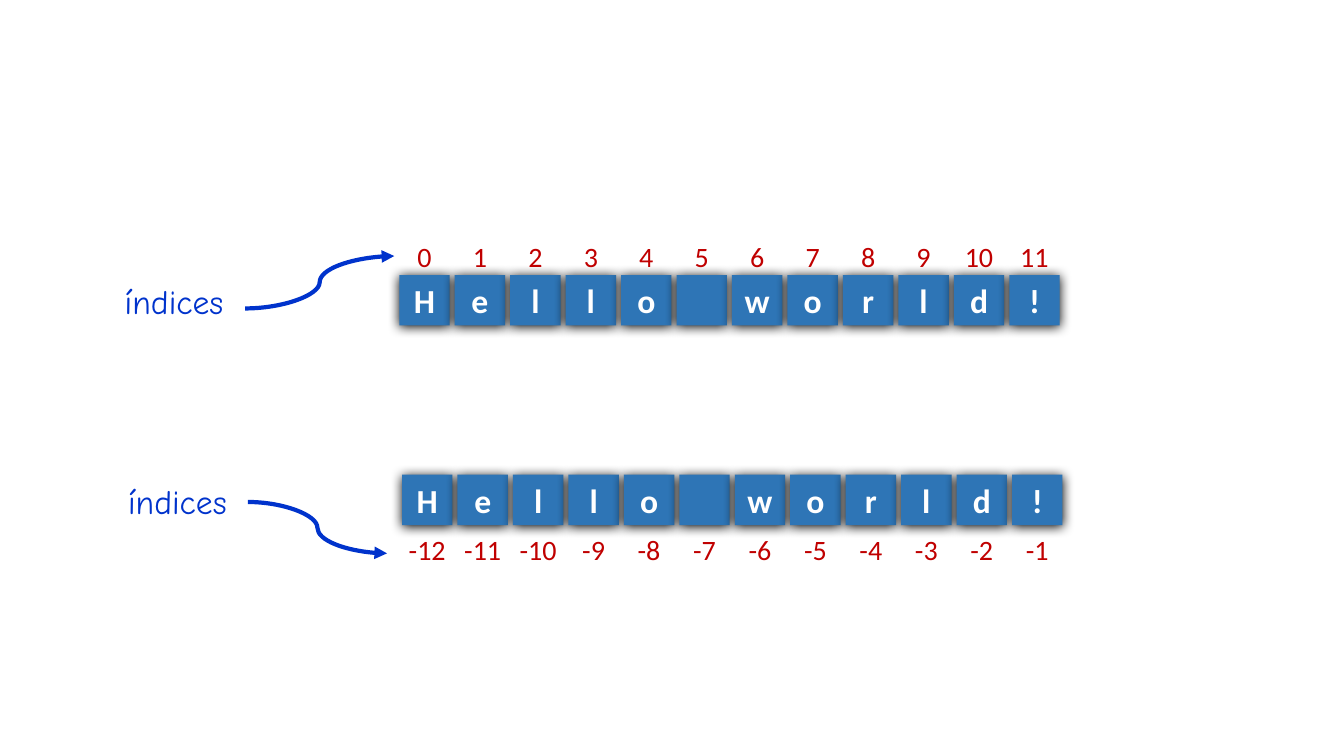
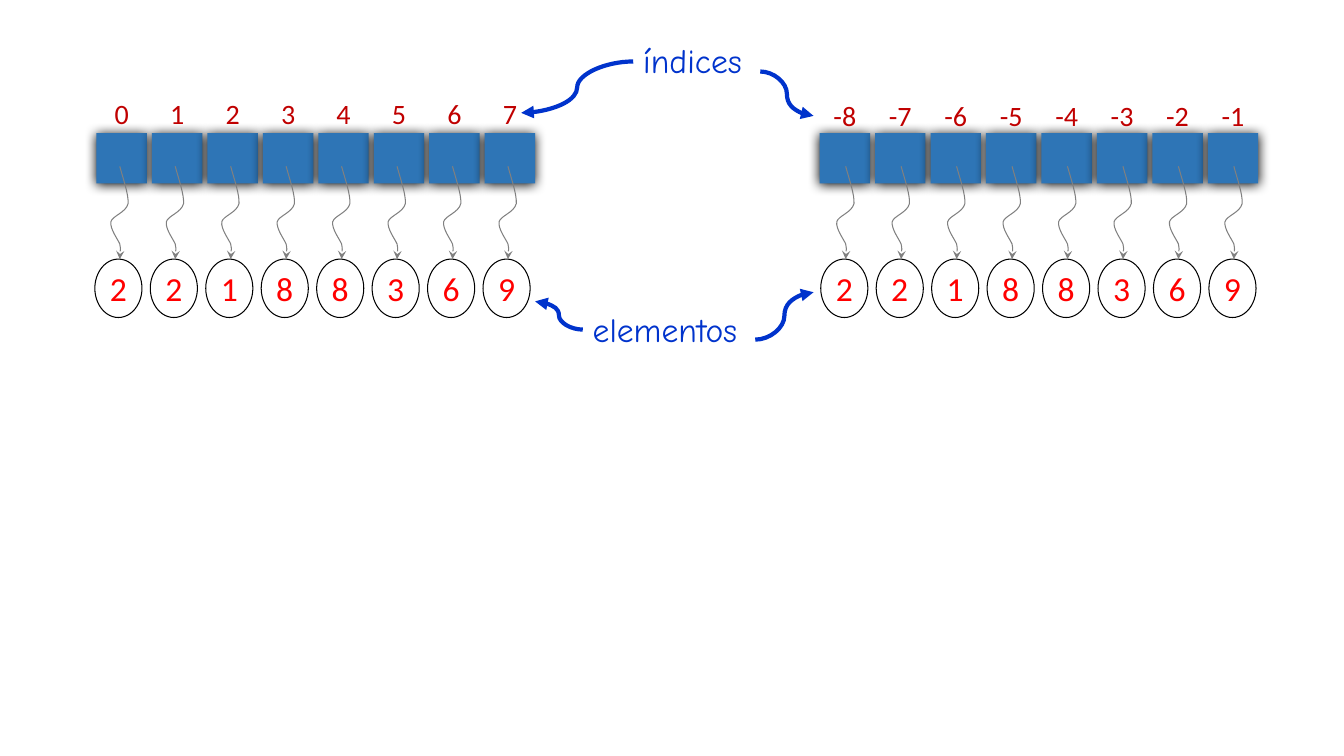
from lxml import etree
from pptx import Presentation
from pptx.dml.color import RGBColor
from pptx.enum.shapes import MSO_CONNECTOR, MSO_SHAPE
from pptx.enum.text import MSO_ANCHOR, PP_ALIGN
from pptx.oxml.ns import qn
from pptx.util import Inches, Pt

RECT, OVAL, CURVE = MSO_SHAPE.RECTANGLE, MSO_SHAPE.OVAL, MSO_CONNECTOR.CURVE
LEFT, MID = PP_ALIGN.LEFT, PP_ALIGN.CENTER
TOP, CENTER = MSO_ANCHOR.TOP, MSO_ANCHOR.MIDDLE

COL, ROW = 0.55, 0.5
CELL = 0.91
BLUE, WHITE, BLACK, GRAY = "2E75B6", "FFFFFF", "000000", "808080"
INK, MAROON, RED = "0033CC", "C00000", "FF0000"
BODY, HAND = "Calibri", "Comic Neue"
WAVE = [(0.07, 0.28), (0.16, 0.56), (0.15, 0.74),
        (0.11, 0.92), (-0.13, 0.98), (-0.16, 1.1),
        (-0.18, 1.24), (-0.04, 1.44), (0, 1.54),
        (0.02, 1.66), (0, 1.76), (0, 1.76), (0, 1.84)]


def color(code):
    """Return the colour of a hex string."""
    return RGBColor.from_string(code)


def at(x, y):
    """Return the lengths of grid columns and rows."""
    return Inches(x * COL), Inches(y * ROW)


def write(shape, text, size, ink, font=BODY, bold=False,
          align=MID, anchor=CENTER, pad=(0, 0)):
    """Set the one paragraph of a shape."""
    frame = shape.text_frame
    frame.word_wrap = True
    frame.vertical_anchor = anchor
    frame.margin_left = frame.margin_right = Inches(pad[0])
    frame.margin_top = frame.margin_bottom = Inches(pad[1])
    para = frame.paragraphs[0]
    para.text = text
    para.alignment = align
    para.font.size, para.font.name = Pt(size), font
    para.font.bold = bold
    para.font.color.rgb = color(ink)


def stroke(shape, ink, width, head=None):
    """Style the line of a shape, with an arrowhead if one is named."""
    shape.line.color.rgb = color(ink)
    shape.line.width = Pt(width)
    if head:
        line = shape.element.spPr.find(qn("a:ln"))
        etree.SubElement(line, qn("a:tailEnd"), type=head)


def block(slide, kind, x, y, w, h, fill):
    """Add a filled preset shape without a shadow."""
    shape = slide.shapes.add_shape(kind, *at(x, y), *at(w, h))
    shape.shadow.inherit = False
    shape.fill.solid()
    shape.fill.fore_color.rgb = color(fill)
    return shape


def glow(shape):
    """Give a shape a soft dark shadow."""
    effects = shape.element.spPr.find(qn("a:effectLst"))
    shade = etree.SubElement(effects, qn("a:outerShdw"), blurRad=str(Pt(8.5)),
                             dist=str(Pt(1)), dir="5400000", rotWithShape="0")
    etree.SubElement(shade, qn("a:srgbClr"), val=BLACK)


def strip(slide, x, y, chars, first, shift):
    """Draw a row of cells with their indices, shifted by some rows."""
    for i, char in enumerate(chars):
        cell = block(slide, RECT, x + i, y, CELL, 1, BLUE)
        cell.line.fill.background()
        glow(cell)
        if char.strip():
            write(cell, char, 24, WHITE, bold=True)
    for i in range(len(chars)):
        label = slide.shapes.add_textbox(*at(x + i, y + shift), *at(CELL, 0.88))
        write(label, str(first + i), 20, MAROON, anchor=TOP, pad=(0, 0.05))


def wave(slide, x, y):
    """Draw a curved pointer that runs down from a point."""
    pen = slide.shapes.build_freeform(*at(x, y), scale=1.0)
    pen.add_line_segments([at(x + dx, y + dy) for dx, dy in WAVE], close=False)
    shape = pen.convert_to_shape()
    shape.shadow.inherit = False
    shape.fill.background()
    stroke(shape, GRAY, 0.75, "stealth")
    lines = list(shape.element.iter(qn("a:lnTo")))
    for i in range(0, len(lines) - 1, 3):
        curve = etree.Element(qn("a:cubicBezTo"))
        lines[i].addprevious(curve)
        for line in lines[i:i + 3]:
            curve.append(line[0])
            line.getparent().remove(line)


def items(slide, x, y, digits):
    """Draw a row of ovals, each with a pointer from above."""
    for i, digit in enumerate(digits):
        oval = block(slide, OVAL, x + i, y, 0.85, 1.16, WHITE)
        stroke(oval, BLACK, 0.75)
        write(oval, digit, 24, RED)
        wave(slide, x + i + 0.45, y - 1.84)


def note(slide, x, y, w, word, arrows):
    """Write a word and draw arrows placed relative to it."""
    box = slide.shapes.add_textbox(*at(x, y), *at(w, 1))
    write(box, word, 24, INK, HAND, align=LEFT, anchor=TOP, pad=(0.1, 0.05))
    for x1, y1, x2, y2 in arrows:
        arrow = slide.shapes.add_connector(
            CURVE, *at(x + x1, y + y1), *at(x + x2, y + y2))
        stroke(arrow, INK, 3, "triangle")
        etree.SubElement(arrow.element.spPr, qn("a:effectLst"))


def text_slide(slide):
    """Show the indices of a string from both ends."""
    word = "Hello world!"
    strip(slide, 7.2, 5.46, word, 0, -0.8)
    note(slide, 2.07, 5.48, 2.35, "índices", [(2.35, 0.64, 5.04, -0.4)])
    strip(slide, 7.25, 9.42, word, -len(word), 1.04)
    note(slide, 2.13, 9.44, 2.35, "índices", [(2.34, 0.52, 4.85, 1.54)])


def list_slide(slide):
    """Show the indices and elements of a list from both ends."""
    digits = "22188369"
    count = len(digits)
    for x, left, first, shift in ((1.74, 1.71, 0, -0.82),
                                  (14.78, 14.8, -count, -0.78)):
        strip(slide, x, 2.64, " " * count, first, shift)
        items(slide, left, 5.14, digits)
    note(slide, 11.42, 0.7, 2.35, "índices",
         [(0, 0.52, -2.02, 1.54), (2.29, 0.72, 3.25, 1.6)])
    note(slide, 10.51, 6.04, 3.24, "elementos",
         [(3.11, 0.7, 4.16, -0.24), (0, 0.5, -0.86, -0.06)])


def main():
    """Build and save the slides."""
    deck = Presentation()
    deck.slide_width, deck.slide_height = Inches(13.33), Inches(7.5)
    for draw in (text_slide, list_slide):
        draw(deck.slides.add_slide(deck.slide_layouts[6]))
    deck.save("out.pptx")


if __name__ == "__main__":
    main()
